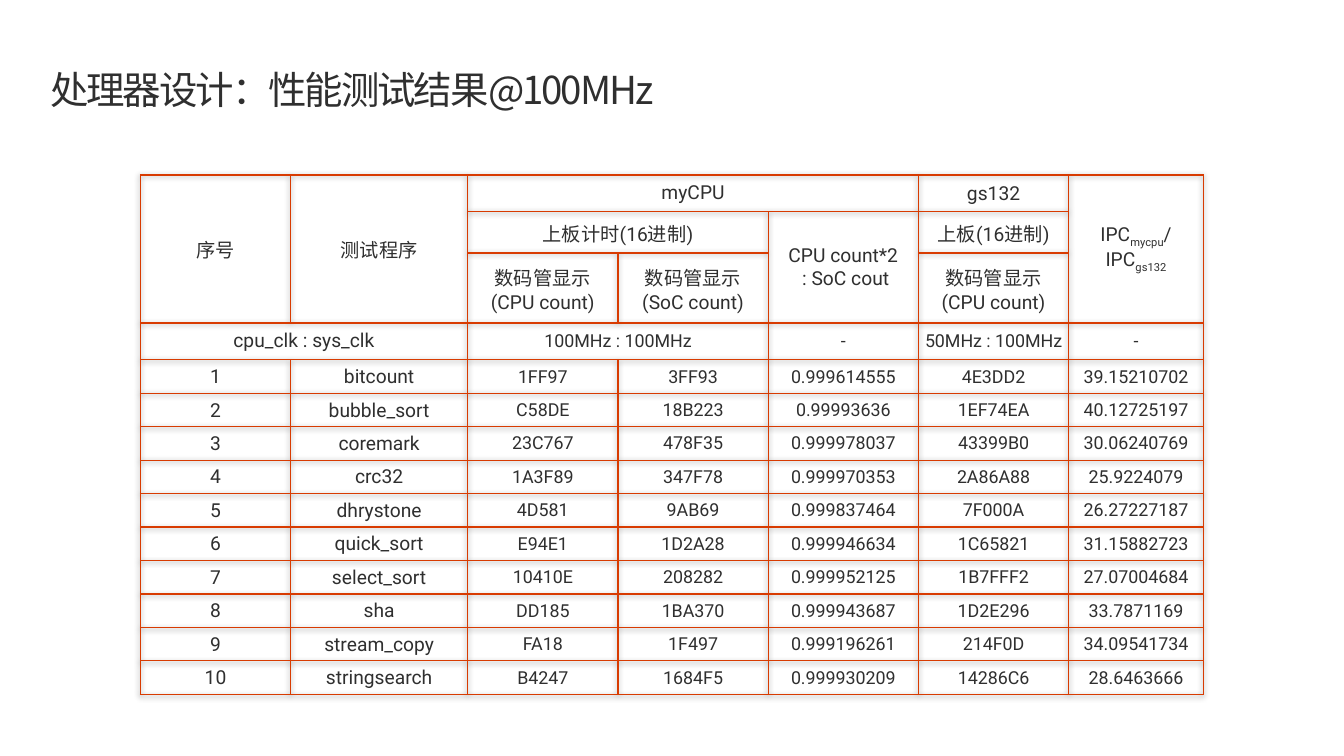
from lxml.etree import SubElement, fromstring
from pptx import Presentation
from pptx.dml.color import RGBColor
from pptx.enum.text import MSO_ANCHOR, PP_ALIGN
from pptx.oxml.ns import qn
from pptx.util import Pt

COLORS = {"text": "2F2F2F", "border": "D83B01", "shadow": "000000"}
CHINESE_FONT = "Noto Sans CJK SC"

COLUMN_WIDTHS = [109.5, 129, 109.5, 109.5, 109.5, 109.5, 98]
HEADER_HEIGHTS = [26, 30, 51, 26]
RESULT_HEIGHT = 24.4

HEADER_CELLS = [
    (0, 0, 3, 1, "序号"),
    (0, 1, 3, 1, "测试程序"),
    (0, 2, 1, 3, "myCPU"),
    (0, 5, 1, 1, "gs132"),
    (0, 6, 3, 1, ""),
    (1, 2, 1, 2, "上板计时(16进制)"),
    (1, 4, 2, 1, "CPU count*2\n : SoC cout"),
    (1, 5, 1, 1, "上板(16进制)"),
    (2, 2, 1, 1, "数码管显示\n(CPU count)"),
    (2, 3, 1, 1, "数码管显示\n(SoC count)"),
    (2, 5, 1, 1, "数码管显示\n(CPU count)"),
    (3, 0, 1, 2, "cpu_clk : sys_clk"),
    (3, 2, 1, 2, "100MHz : 100MHz"),
    (3, 4, 1, 1, "-"),
    (3, 5, 1, 1, "50MHz : 100MHz"),
    (3, 6, 1, 1, "-"),
]

RESULTS = [
    ("bitcount", "1FF97", "3FF93", "0.999614555", "4E3DD2", "39.15210702"),
    ("bubble_sort", "C58DE", "18B223", "0.99993636", "1EF74EA", "40.12725197"),
    ("coremark", "23C767", "478F35", "0.999978037", "43399B0", "30.06240769"),
    ("crc32", "1A3F89", "347F78", "0.999970353", "2A86A88", "25.9224079"),
    ("dhrystone", "4D581", "9AB69", "0.999837464", "7F000A", "26.27227187"),
    ("quick_sort", "E94E1", "1D2A28", "0.999946634", "1C65821", "31.15882723"),
    ("select_sort", "10410E", "208282", "0.999952125", "1B7FFF2", "27.07004684"),
    ("sha", "DD185", "1BA370", "0.999943687", "1D2E296", "33.7871169"),
    ("stream_copy", "FA18", "1F497", "0.999196261", "214F0D", "34.09541734"),
    ("stringsearch", "B4247", "1684F5", "0.999930209", "14286C6", "28.6463666"),
]


def add_text(paragraph, text, *, size=14, font="Roboto", spacing=0, baseline=0):
    for index, line in enumerate(text.split("\n")):
        if index:
            paragraph.add_line_break()
            SubElement(paragraph._p[-1], qn("a:rPr"), sz=str(size * 100))
        run = paragraph.add_run()
        run.text = line
        run.font.size = Pt(size)
        run.font.name = font
        run.font.color.rgb = RGBColor.from_string(COLORS["text"])
        properties = run.font._element
        SubElement(properties, qn("a:ea"), typeface=CHINESE_FONT)
        if spacing:
            properties.set("spc", str(int(spacing * 100)))
        if baseline:
            properties.set("baseline", str(baseline * 1000))


def add_border(cell, side):
    line = SubElement(cell._tc.get_or_add_tcPr(), qn(f"a:{side}"), w=str(Pt(1)))
    fill = SubElement(line, qn("a:solidFill"))
    SubElement(fill, qn("a:srgbClr"), val=COLORS["border"])


presentation = Presentation()
presentation.slide_width = Pt(979.2)
presentation.slide_height = Pt(550.8)
slide = presentation.slides.add_slide(presentation.slide_layouts[6])

title = slide.shapes.add_textbox(Pt(36.7), Pt(49.7), Pt(908), Pt(32.4))
title_frame = title.text_frame
title_frame.word_wrap = True
title_frame.margin_left = title_frame.margin_right = 0
title_frame.margin_top = title_frame.margin_bottom = 0
title_paragraph = title_frame.paragraphs[0]
title_paragraph.line_spacing = Pt(32)
add_text(title_paragraph, "处理器设计：性能测试结果@100MHz",
         size=28, font=CHINESE_FONT, spacing=-1.5)

row_heights = HEADER_HEIGHTS + [RESULT_HEIGHT] * len(RESULTS)
table_shape = slide.shapes.add_table(
    len(row_heights), len(COLUMN_WIDTHS),
    Pt(102.3), Pt(127.5), Pt(sum(COLUMN_WIDTHS)), Pt(sum(row_heights)))
table = table_shape.table
table.first_row = False
table.horz_banding = False
for column, width in zip(table.columns, COLUMN_WIDTHS):
    column.width = Pt(width)
for row, height in zip(table.rows, row_heights):
    row.height = Pt(height)

table._tbl.tblPr.insert(0, fromstring(
    '<a:effectLst xmlns:a="http://schemas.openxmlformats.org/drawingml/2006/main">'
    f'<a:outerShdw blurRad="{Pt(4)}" dist="{Pt(1)}" dir="5400000">'
    f'<a:srgbClr val="{COLORS["shadow"]}"><a:alpha val="40000"/></a:srgbClr>'
    '</a:outerShdw></a:effectLst>'))

for cell in table.iter_cells():
    for side in ("lnL", "lnR", "lnT", "lnB"):
        add_border(cell, side)
    cell.fill.background()

table_cells = list(HEADER_CELLS)
for number, result in enumerate(RESULTS, start=1):
    for column, value in enumerate((str(number), *result)):
        table_cells.append((number + 3, column, 1, 1, value))

for row, column, row_span, column_span, text in table_cells:
    cell = table.cell(row, column)
    merged = row_span * column_span > 1
    if merged:
        cell.merge(table.cell(row + row_span - 1, column + column_span - 1))
    cell.vertical_anchor = MSO_ANCHOR.MIDDLE
    cell.margin_left = cell.margin_right = Pt(9.4 if merged else 0.7)
    cell.margin_top = Pt(5 if merged else 0.7)
    cell.margin_bottom = Pt(5 if merged else 0)
    paragraph = cell.text_frame.paragraphs[0]
    paragraph.alignment = PP_ALIGN.CENTER
    if text:
        add_text(paragraph, text, size=13 if row >= 3 and column >= 2 else 14)

ratio_paragraph = table.cell(0, 6).text_frame.paragraphs[0]
for text, baseline in (("IPC", 0), ("mycpu", -25), ("/IPC", 0), ("gs132", -25)):
    add_text(ratio_paragraph, text, baseline=baseline)

presentation.save("out.pptx")
